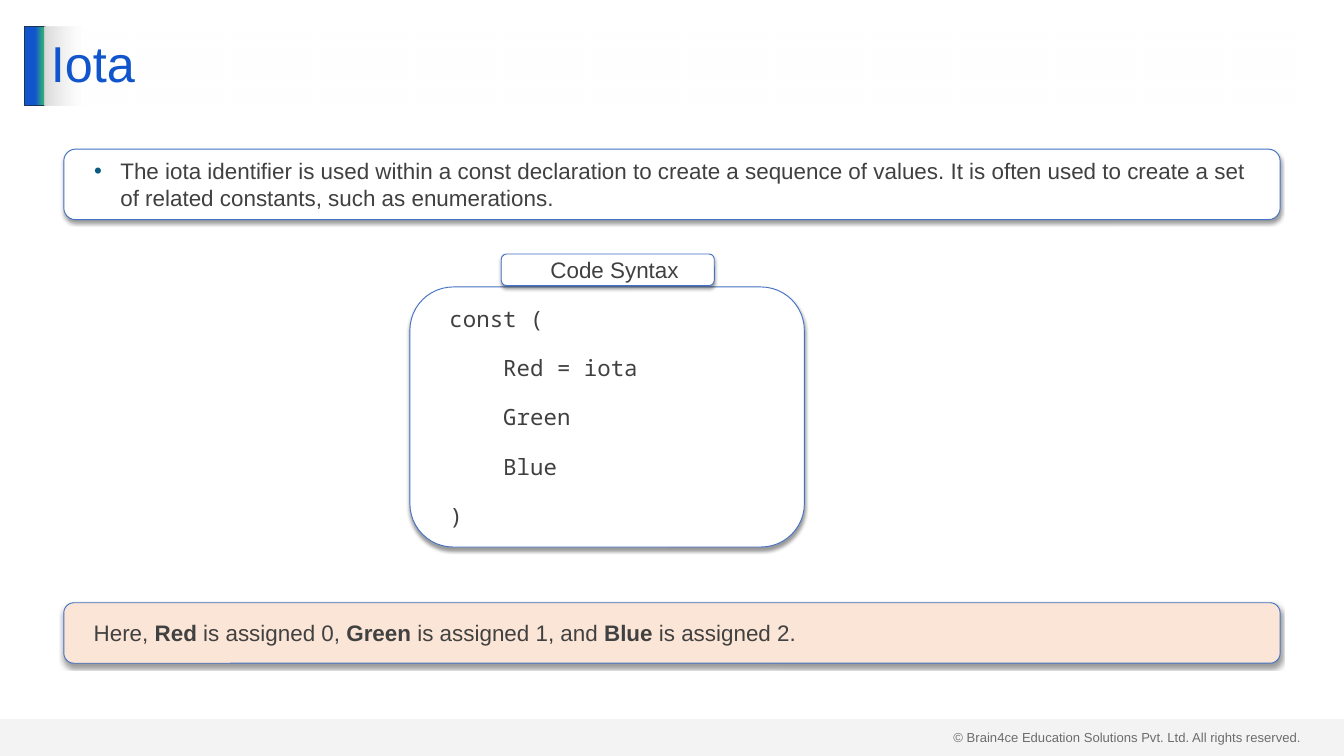
"""Build the Iota slide with its syntax box and notes."""
import pptx
import pptx.util
import pptx.oxml
import pptx.oxml.ns
import pptx.dml.color
import pptx.enum.shapes
import pptx.enum.text

HUE = {"blue": "1155CC", "green": "2EA87D", "navy": "1E3256", "edge": "4472C4",
       "gray": "D9D9D9", "white": "FFFFFF", "peach": "FBE5D6",
       "text": "404040", "note": "414141", "dot": "095A82"}
NS = pptx.oxml.ns.nsdecls("a")
KIND = pptx.enum.shapes.MSO_SHAPE
ALIGN = pptx.enum.text.PP_ALIGN

deck = pptx.Presentation()
deck.slide_width = pptx.util.Inches(20)
deck.slide_height = pptx.util.Inches(11.25)
col, row = deck.slide_width / 100, deck.slide_height / 100
slide = deck.slides.add_slide(deck.slide_layouts[6])


def write(shape, text, size=24, font="Arial", color="text", align=ALIGN.LEFT,
          pad=(0.1, 0.05), left=0, hang=0, gap=0, lead=None, bullet=False):
    """Fill a shape with lines of text; asterisks enclose bold words."""
    frame = shape.text_frame
    frame.word_wrap = True
    frame.vertical_anchor = pptx.enum.text.MSO_ANCHOR.MIDDLE
    frame.margin_left = frame.margin_right = pptx.util.Inches(pad[0])
    frame.margin_top = frame.margin_bottom = pptx.util.Inches(pad[1])
    for n, line in enumerate(text.split("\n")):
        para = frame.add_paragraph() if n else frame.paragraphs[0]
        props = para._p.get_or_add_pPr()
        props.set("marL", str(pptx.util.Inches(left)))
        props.set("indent", str(pptx.util.Inches(hang)))
        if bullet:
            for mark in (f'<a:buClr {NS}><a:srgbClr val="{HUE["dot"]}"/></a:buClr>',
                         f'<a:buFont {NS} typeface="Arial"/>',
                         f'<a:buChar {NS} char="•"/>'):
                props.append(pptx.oxml.parse_xml(mark))
        para.alignment = align
        para.space_before = pptx.util.Pt(gap if n else 0)
        para.space_after = pptx.util.Pt(gap)
        if lead:
            para.line_spacing = lead
        for i, part in enumerate(line.split("*")):
            run = para.add_run()
            run.text = part
            run.font.name = font
            run.font.size = pptx.util.Pt(size)
            run.font.bold = i % 2 == 1
            run.font.color.rgb = pptx.dml.color.RGBColor.from_string(HUE[color])


def draw(kind, place, stops, line=None, shade=False):
    """Add a shape placed in columns and rows, with (place, hue, alpha) stops."""
    x, y, wide, high = place
    shape = slide.shapes.add_shape(kind, int(x * col), int(y * row),
                                   int(wide * col), int(high * row))
    tints = [f'<a:srgbClr val="{HUE[hue]}"><a:alpha val="{alpha * 1000}"/></a:srgbClr>'
             for _, hue, alpha in stops]
    if len(stops) == 1:
        fill = f"<a:solidFill {NS}>{tints[0]}</a:solidFill>"
    else:
        marks = "".join(f'<a:gs pos="{stop[0] * 1000}">{tint}</a:gs>'
                        for stop, tint in zip(stops, tints))
        fill = f'<a:gradFill {NS}><a:gsLst>{marks}</a:gsLst><a:lin ang="0" scaled="0"/></a:gradFill>'
    props = shape._element.spPr
    props.append(pptx.oxml.parse_xml(fill))
    if line:
        shape.line.color.rgb = pptx.dml.color.RGBColor.from_string(HUE[line])
        shape.line.width = pptx.util.Pt(1)
    else:
        shape.line.fill.background()
    shape.shadow.inherit = False
    if shade:
        props.find(pptx.oxml.ns.qn("a:effectLst")).append(pptx.oxml.parse_xml(
            f'<a:outerShdw {NS} blurRad="50800" dist="38100" dir="5400000" rotWithShape="0">'
            '<a:srgbClr val="000000"><a:alpha val="40000"/></a:srgbClr></a:outerShdw>'))
    return shape


foot = slide.shapes.add_textbox(int(70.45 * col), int(96 * row),
                                int(27.05 * col), int(3 * row))
write(foot, "© Brain4ce Education Solutions Pvt. Ltd. All rights reserved.", size=14)
draw(KIND.RECTANGLE, (1.85, 3.47, 1.5, 10.49),
     [(51, "blue", 100), (90, "green", 100), (100, "green", 100)], line="navy")
draw(KIND.RECTANGLE, (0, 95.11, 100, 4.89), [(0, "gray", 29)])
title = draw(KIND.RECTANGLE, (3.3, 3.47, 93.35, 10.49),
             [(0, "gray", 100), (3, "white", 50), (100, "white", 50)])
write(title, "Iota", size=54, color="blue", lead=0.9)

code = """const (
    Red = iota
    Green
    Blue
)"""
cards = [
    ((4.75, 19.73, 90.5, 9.33), "white",
     "The iota identifier is used within a const declaration to create a sequence of values. "
     "It is often used to create a set of related constants, such as enumerations.",
     {"left": 0.59, "hang": -0.39, "bullet": True}),
    ((30.5, 37.96, 29.35, 34.4), "white", code, {"font": "Noto Sans Mono"}),
    ((37.3, 33.6, 15.85, 4.18), "white", "Code Syntax", {"align": ALIGN.CENTER}),
    ((4.75, 79.73, 90.5, 8), "peach",
     "Here, *Red *is assigned 0, *Green* is assigned 1, and *Blue* is assigned 2.",
     {"color": "note"}),
]
for place, hue, text, style in cards:
    card = draw(KIND.ROUNDED_RECTANGLE, place, [(0, hue, 100)], line="edge", shade=True)
    write(card, text, **{"pad": (0.2, 0.1), "left": 0.2, "gap": 12, **style})

deck.save("out.pptx")
